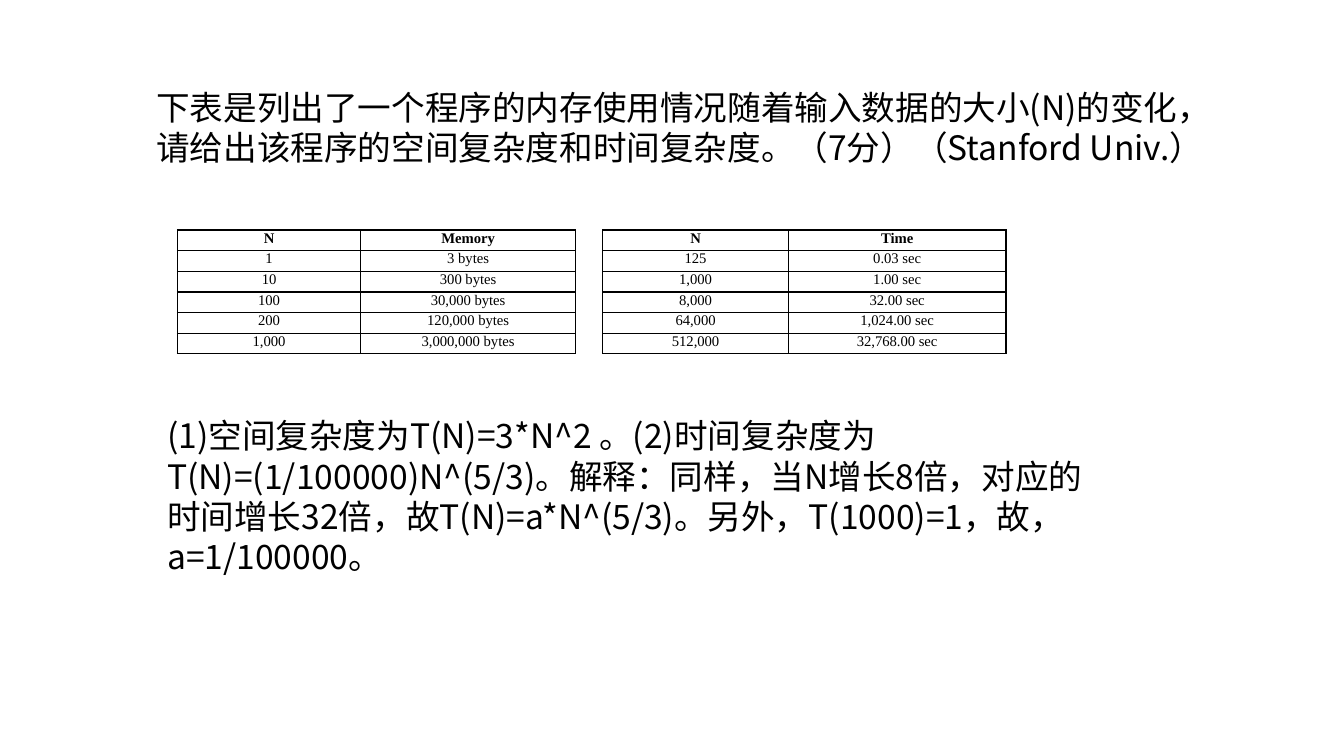
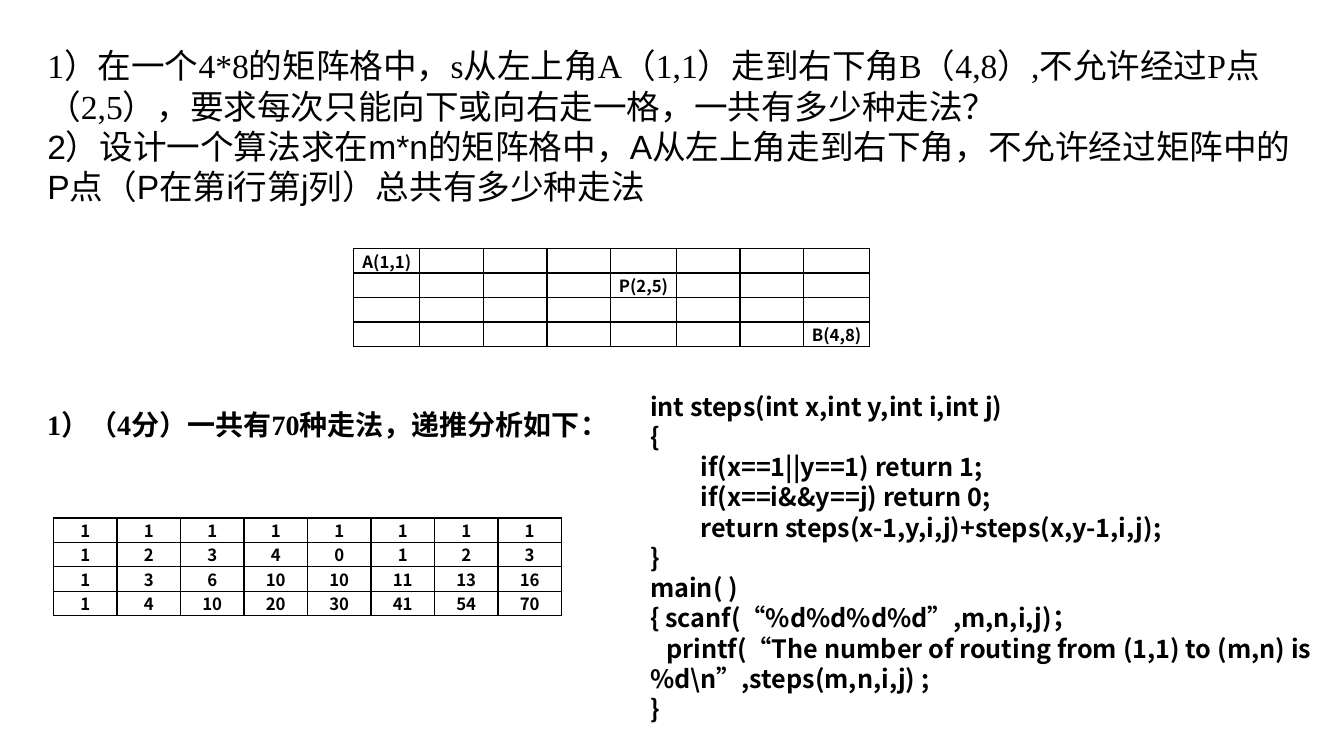
from pptx import Presentation
from pptx.util import Pt
from pptx.dml.color import RGBColor
from pptx.enum.text import PP_ALIGN as Align, MSO_ANCHOR as Anchor, MSO_AUTO_SIZE as Fit
from lxml.etree import SubElement
from pptx.oxml.ns import qn

COLORS = {"paper": "FFFFFF", "ink": "000000"}
SANS, SERIF, PLAIN = "Noto Sans CJK SC", "Times New Roman", "Arial"

deck = Presentation()
deck.slide_width, deck.slide_height = Pt(960), Pt(540)


def write(shape, place, lines, size, bold=False, anchor=Anchor.TOP, align=Align.LEFT):
    """Place a box and fill it; a line is (left, first indent, runs)."""
    shape.left, shape.top, shape.width, shape.height = map(Pt, place)
    frame = shape.text_frame
    frame.word_wrap, frame.auto_size = True, Fit.NONE
    frame.vertical_anchor = anchor
    for n, (left, first, runs) in enumerate(lines):
        para = frame.add_paragraph() if n else frame.paragraphs[0]
        para.alignment = align
        props = para._p.get_or_add_pPr()
        props.set("marL", str(Pt(left)))
        props.set("indent", str(Pt(first)))
        for text, face in runs:
            run = para.add_run()
            run.text = text
            font = run.font
            font.name, font.size, font.bold = face, Pt(size), bold
            font.color.rgb = RGBColor.from_string(COLORS["ink"])


def grid(slide, left, top, widths, high, rows, face, size, anchor, bold):
    """Draw a ruled table; bold is the number of bold rows."""
    frame = slide.shapes.add_table(len(rows), len(widths), Pt(left), Pt(top),
                                   Pt(sum(widths)), Pt(high * len(rows)))
    table = frame.table
    table.first_row = table.horz_banding = False
    for col, width in zip(table.columns, widths):
        col.width = Pt(width)
    for r, row in enumerate(rows):
        table.rows[r].height = Pt(high)
        for c, text in enumerate(row):
            cell = table.cell(r, c)
            cell.margin_left = cell.margin_right = Pt(5)
            cell.margin_top = cell.margin_bottom = 0
            cell.vertical_anchor = anchor
            para = cell.text_frame.paragraphs[0]
            para.alignment = Align.CENTER
            if text:
                run = para.add_run()
                run.text = text
                font = run.font
                font.name, font.size, font.bold = face, Pt(size), r < bold
                font.color.rgb = RGBColor.from_string(COLORS["ink"])
            else:
                SubElement(para._p, qn("a:endParaRPr"), sz=str(size * 100))
            # Borders come before the fill in the cell properties
            props = cell._tc.get_or_add_tcPr()
            for side in ("a:lnL", "a:lnR", "a:lnT", "a:lnB"):
                line = SubElement(props, qn(side), w=str(Pt(1)))
                fill = SubElement(line, qn("a:solidFill"))
                SubElement(fill, qn("a:srgbClr"), val=COLORS["ink"])
            cell.fill.background()


# Both slides: white, with the question as title
slides = []
for place, anchor, lines in [
    ((104.4, 58.3, 778.3, 95), Anchor.TOP, [
        ("下表是列出了一个程序的内存使用情况随着输入数据的大小(N)的变化，"
         "请给出该程序的空间复杂度和时间复杂度。（7分）（Stanford Univ.）", SANS)]),
    ((26.6, 28, 906.5, 124), Anchor.MIDDLE, [
        ("1）在一个4*8的矩阵格中，s从左上角A（1,1）走到右下角B（4,8）,不允许经过P点（2,5），"
         "要求每次只能向下或向右走一格，一共有多少种走法？", SERIF),
        ("2）设计一个算法求在m*n的矩阵格中，A从左上角走到右下角，"
         "不允许经过矩阵中的P点（P在第i行第j列）总共有多少种走法", PLAIN)]),
]:
    slide = deck.slides.add_slide(deck.slide_layouts[5])
    slide.background.fill.solid()
    slide.background.fill.fore_color.rgb = RGBColor.from_string(COLORS["paper"])
    write(slide.shapes.title, place, [(0, 0, [run]) for run in lines], 24, anchor=anchor)
    slides.append(slide)
growth, paths = slides

# Slide 1: measured memory and time
memory = [("N", "Memory"), ("1", "3 bytes"), ("10", "300 bytes"), ("100", "30,000 bytes"),
          ("200", "120,000 bytes"), ("1,000", "3,000,000 bytes")]
time = [("N", "Time"), ("125", "0.03 sec"), ("1,000", "1.00 sec"), ("8,000", "32.00 sec"),
        ("64,000", "1,024.00 sec"), ("512,000", "32,768.00 sec")]
for left, widths, rows in [(126.7, (131, 153.4), memory), (430.6, (132.5, 155.5), time)]:
    grid(growth, left, 164.3, widths, 14.76, rows, SERIF, 10.5, Anchor.TOP, 1)

# Slide 1: answer
answer = ("(1)空间复杂度为T(N)=3*N^2 。(2)时间复杂度为T(N)=(1/100000)N^(5/3)。"
          "解释：同样，当N增长8倍，对应的时间增长32倍，故T(N)=a*N^(5/3)。"
          "另外，T(1000)=1，故，a=1/100000。")
write(growth.shapes.add_textbox(0, 0, 0, 0), (112.3, 293, 670.3, 124),
      [(0, 0, [(answer, SANS)])], 24)

# Slide 2: the board with its three marked cells
marks = {(1, 1): "A(1,1)", (2, 5): "P(2,5)", (4, 8): "B(4,8)"}
board = [[marks.get((r, c), "") for c in range(1, 9)] for r in range(1, 5)]
widths = [47.2 if c in (1, 5, 8) else 45.4 for c in range(1, 9)]
grid(paths, 252.7, 177.5, widths, 17.5, board, SANS, 12, Anchor.MIDDLE, 4)

# Slide 2: number of ways to each cell, none through P
ways = [[1] * 8]
for r in range(2, 5):
    row = [1]
    for c in range(2, 9):
        row.append(0 if (r, c) == (2, 5) else row[-1] + ways[-1][c - 1])
    ways.append(row)
grid(paths, 38.2, 370, [45.36] * 8, 14.4, [[str(n) for n in row] for row in ways],
     SANS, 12, Anchor.MIDDLE, 4)
write(paths.shapes.add_textbox(0, 0, 0, 0), (26.6, 277, 420.5, 52),
      [(0, 0, [("1）（4分）一共有70种走法，递推分析如下：", SERIF)])], 20, True, Anchor.MIDDLE)

# Slide 2: code
code = [(21, 0, [(text, SANS)]) for text in (
    "int steps(int x,int y,int i,int j)", "{",
    "\tif(x==1||y==1) return 1;", "\tif(x==i&&y==j) return 0;",
    "\treturn steps(x-1,y,i,j)+steps(x,y-1,i,j);", "}", "main( )")]
code += [
    (21, 0, [("{ scanf(“%d%d%d%d”,m,n,i,j)", SANS), ("；", SERIF)]),
    (21, 11.5, [("printf(“The number of routing from (1,1) to (m,n) is %d\\n”,steps(m,n,i,j) ;", SANS)]),
    (0, 21, [("}", SANS)])]
write(paths.shapes.add_textbox(0, 0, 0, 0), (436.3, 275.8, 507.6, 247), code, 18, True,
      align=Align.JUSTIFY)

deck.save("out.pptx")
